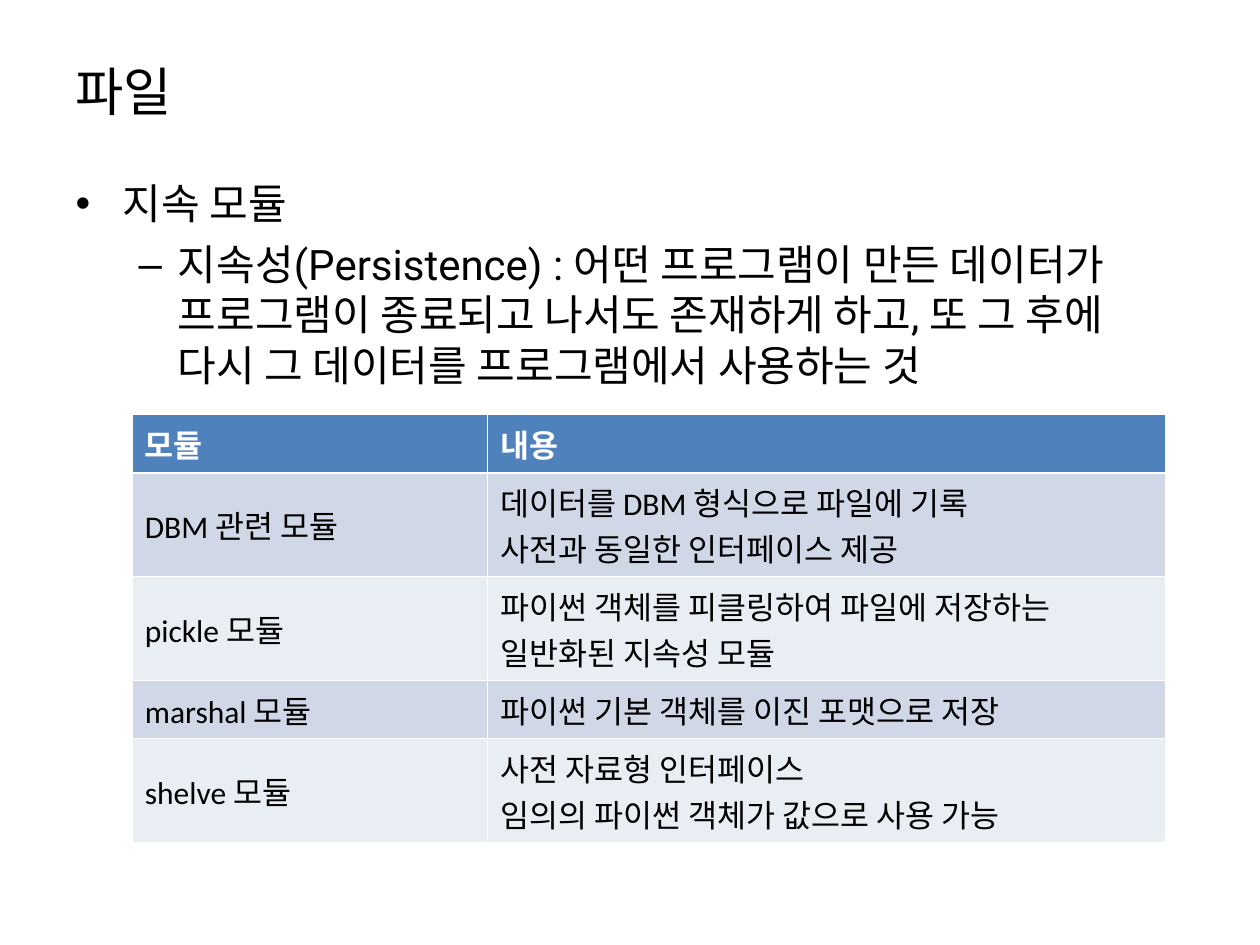
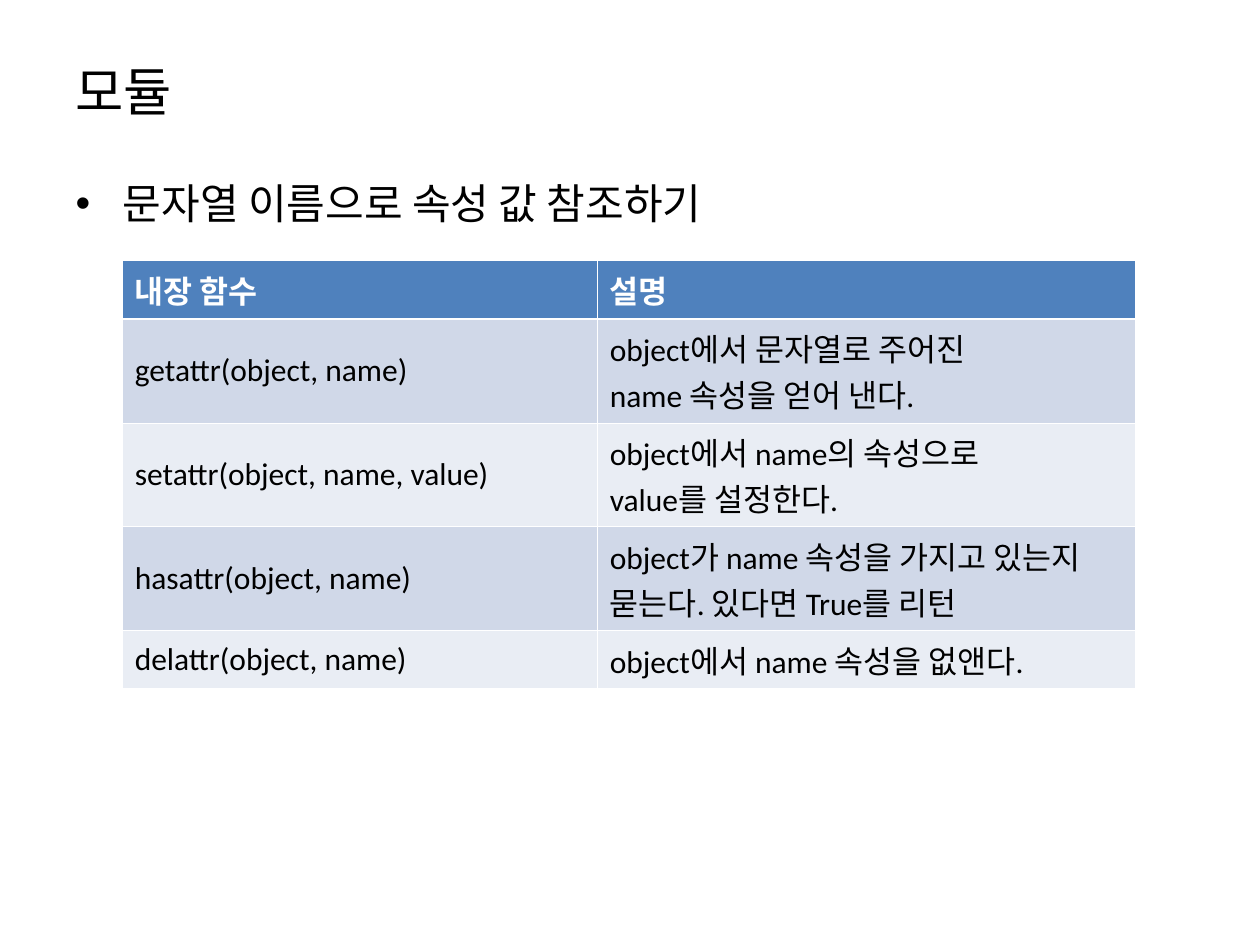
"""Builds two slides on Python modules, each with a title, a list and a table."""
from dataclasses import dataclass

from lxml import etree
from pptx import Presentation
from pptx import util as u
from pptx.dml import color
from pptx.enum import text
from pptx.oxml import ns

SLIDES = [
    dict(
        title="파일",
        points=[
            (0, "지속 모듈"),
            (1, "지속성(Persistence) : 어떤 프로그램이 만든 데이터가 프로그램이 종료되고 "
                "나서도 존재하게 하고, 또 그 후에 다시 그 데이터를 프로그램에서 사용하는 것"),
        ],
        spot=(1.05, 3.29), cols=(2.82, 5.38), rows=(0.46, 0.82, 0.82, 0.46, 0.82),
        cells=[
            ("모듈", "내용"),
            ("DBM 관련 모듈", "데이터를 DBM 형식으로 파일에 기록\n사전과 동일한 인터페이스 제공"),
            ("pickle 모듈", "파이썬 객체를 피클링하여 파일에 저장하는\n일반화된 지속성 모듈"),
            ("marshal 모듈", "파이썬 기본 객체를 이진 포맷으로 저장"),
            ("shelve 모듈", "사전 자료형 인터페이스\n임의의 파이썬 객체가 값으로 사용 가능"),
        ],
    ),
    dict(
        title="모듈",
        points=[(0, "문자열 이름으로 속성 값 참조하기")],
        spot=(0.97, 2.07), cols=(3.77, 4.27), rows=(0.4, 0.7, 0.7, 0.7, 0.4),
        cells=[
            ("내장 함수", "설명"),
            ("getattr(object, name)", "object에서 문자열로 주어진\vname 속성을 얻어 낸다."),
            ("setattr(object, name, value)", "object에서 name의 속성으로\vvalue를 설정한다."),
            ("hasattr(object, name)", "object가 name 속성을 가지고 있는지 묻는다. 있다면 True를 리턴"),
            ("delattr(object, name)", "object에서 name 속성을 없앤다."),
        ],
    ),
]


@dataclass(frozen=True)
class Theme:
    """Colours, fonts, sizes and places that the slides share."""
    ink: str = "000000"
    white: str = "FFFFFF"
    head: str = "4F81BD"
    bands: tuple = ("E9EDF4", "D0D8E8")
    font: str = "Roboto"
    grid: str = "Calibri"
    big: int = 30
    mid: int = 24
    small: int = 18
    gap: int = 6
    thin: float = 0.45
    thick: float = 1.47
    title: tuple = (0.5, 0.3, 9, 0.84)
    body: tuple = (0.5, 1.36, 9, 5.34)


T = Theme()


def style(para, face, size, ink=T.ink, bold=False):
    """Set the font of a whole paragraph."""
    font = para.font
    font.name, font.size, font.bold = face, u.Pt(size), bold
    font.color.rgb = color.RGBColor.from_string(ink)


def place(holder, box):
    """Move a placeholder and fix its text size."""
    holder.left, holder.top, holder.width, holder.height = map(u.Inches, box)
    holder.text_frame.auto_size = text.MSO_AUTO_SIZE.NONE


def edge(cell, side, width):
    """Draw one white border of a cell."""
    props = cell._tc.get_or_add_tcPr()
    line = etree.SubElement(props, ns.qn(f"a:ln{side}"), w=str(u.Pt(width)))
    fill = etree.SubElement(line, ns.qn("a:solidFill"))
    etree.SubElement(fill, ns.qn("a:srgbClr"), val=T.white)


def add_list(body, points):
    """Fill the body with its levels of points."""
    place(body, T.body)
    frame = body.text_frame
    frame.text = "\n".join(words for _, words in points)
    for i, (para, (level, _)) in enumerate(zip(frame.paragraphs, points)):
        para.level = level
        para.space_before = u.Pt(T.gap if i else 0)
        style(para, T.font, T.mid)


def fill_cell(cell, words, row):
    """Write, colour and frame one cell by its row."""
    head = row == 0
    cell.text = words
    cell.vertical_anchor = text.MSO_ANCHOR.MIDDLE
    for para in cell.text_frame.paragraphs:
        style(para, T.grid, T.small, T.white if head else T.ink, head)
    for side in "LRTB":
        rule = (side, row) in (("B", 0), ("T", 1))
        edge(cell, side, T.thick if rule else T.thin)
    cell.fill.solid()
    shade = T.head if head else T.bands[row % 2]
    cell.fill.fore_color.rgb = color.RGBColor.from_string(shade)


def add_grid(slide, spot, cols, rows, cells):
    """Add the table with its sizes and cells."""
    box = map(u.Inches, (*spot, sum(cols), sum(rows)))
    grid = slide.shapes.add_table(len(rows), len(cols), *box).table
    grid.horz_banding = False
    for col, width in zip(grid.columns, cols):
        col.width = u.Inches(width)
    for r, (row, height) in enumerate(zip(grid.rows, rows)):
        row.height = u.Inches(height)
        for cell, words in zip(row.cells, cells[r]):
            fill_cell(cell, words, r)


def add_slide(deck, title, points, **grid):
    """Add one slide with its title, list and table."""
    slide = deck.slides.add_slide(deck.slide_layouts[1])
    head, body = slide.placeholders
    place(head, T.title)
    head.text_frame.text = title
    para = head.text_frame.paragraphs[0]
    para.alignment = text.PP_ALIGN.LEFT
    style(para, T.font, T.big)
    add_list(body, points)
    add_grid(slide, **grid)


def main():
    """Build and save the deck."""
    deck = Presentation()
    deck.slide_width, deck.slide_height = u.Inches(10), u.Inches(7.5)
    for page in SLIDES:
        add_slide(deck, **page)
    deck.save("out.pptx")


if __name__ == "__main__":
    main()
